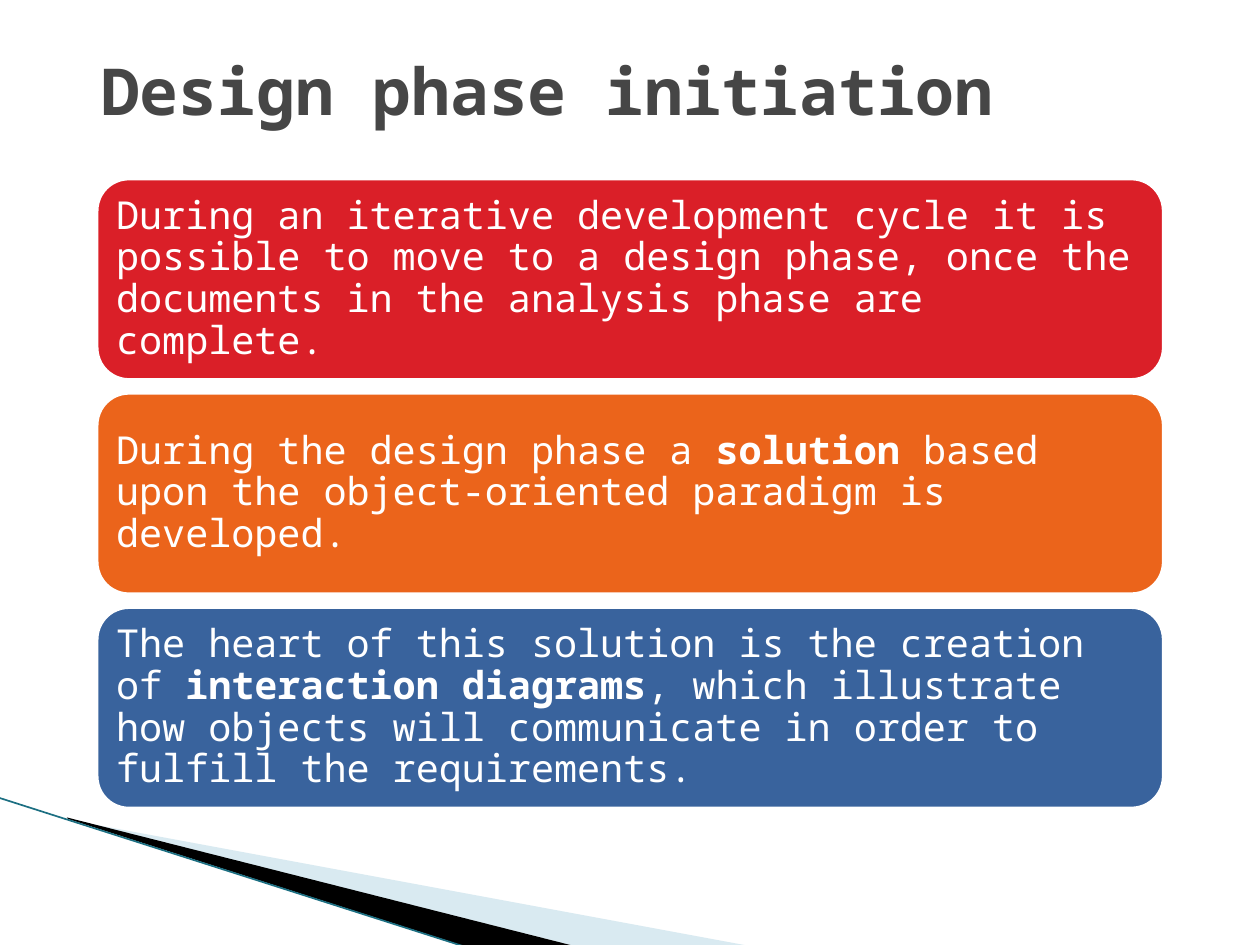
from dataclasses import dataclass

from lxml import etree
from pptx import Presentation
from pptx.dml.color import RGBColor
from pptx.enum.shapes import MSO_CONNECTOR, MSO_SHAPE
from pptx.enum.text import MSO_ANCHOR, MSO_AUTO_SIZE, PP_ALIGN
from pptx.oxml.ns import qn
from pptx.util import Cm, Pt

STRAIGHT = MSO_CONNECTOR.STRAIGHT
ROUNDED = MSO_SHAPE.ROUNDED_RECTANGLE
MIDDLE = MSO_ANCHOR.MIDDLE
NO_FIT = MSO_AUTO_SIZE.NONE
LEFT = PP_ALIGN.LEFT

FONT = "Noto Sans Mono"
COLORS = {
    "title": "464646", "white": "FFFFFF", "black": "000000",
    "red": "DA1F28", "orange": "EB641B", "blue": "39639D",
    "pale": "A0CBDC", "teal": "1C6F82",
}
MARGIN, CONTENT_WIDTH = 1.91, 21.59
PANEL_TOP, PANEL_HEIGHT, PANEL_PITCH = 3.56, 4.14, 4.32


@dataclass
class Panel:
    color: str
    before: str
    bold: str = ""
    after: str = ""


@dataclass
class Wedge:
    color: str
    points: list[tuple[float, float]]
    opacity: int = 100


PANELS = [
    Panel("red", "During an iterative development cycle it is possible to move to a "
                 "design phase, once the documents in the analysis phase are complete."),
    Panel("orange", "During the design phase a ", "solution",
          " based upon the object-oriented paradigm is developed."),
    Panel("blue", "The heart of this solution is the creation of ", "interaction diagrams",
          ", which illustrate how objects will communicate in order to fulfill the requirements."),
]
WEDGES = [
    Wedge("pale", [(1.4, 16.53), (15.11, 19.07), (11.58, 19.07), (1.4, 16.51)], 40),
    Wedge("black", [(1.35, 16.48), (11.61, 19.08), (9.45, 19.1), (1.37, 16.51)]),
]


def color_of(name: str) -> RGBColor:
    return RGBColor.from_string(COLORS[name])


def apply_format(target, values: dict) -> None:
    for name, value in values.items():
        setattr(target, name, value)


def format_font(font, size: float, color: str, bold: bool) -> None:
    apply_format(font, {"name": FONT, "size": Pt(size), "bold": bold})
    font.color.rgb = color_of(color)


def draw_wedge(slide, wedge: Wedge) -> None:
    points = [(Cm(x), Cm(y)) for x, y in wedge.points]
    builder = slide.shapes.build_freeform(*points[0])
    builder.add_line_segments(points[1:])
    shape = builder.convert_to_shape()
    shape.shadow.inherit = False
    shape.line.fill.background()
    shape.fill.solid()
    shape.fill.fore_color.rgb = color_of(wedge.color)
    if wedge.opacity < 100:
        color = shape.fill._xPr.find(qn("a:solidFill"))[0]
        etree.SubElement(color, qn("a:alpha")).set("val", str(wedge.opacity * 1000))


def draw_edge(slide) -> None:
    edge = slide.shapes.add_connector(STRAIGHT, Cm(-0.03), Cm(16.08), Cm(9.42), Cm(19.1))
    edge.line.color.rgb = color_of("teal")
    edge.line.width = Pt(0.95)
    etree.SubElement(edge._element.spPr, qn("a:effectLst"))


def draw_panel(slide, panel: Panel, top: float) -> None:
    shape = slide.shapes.add_shape(
        ROUNDED, Cm(MARGIN), Cm(top), Cm(CONTENT_WIDTH), Cm(PANEL_HEIGHT))
    shape.shadow.inherit = False
    shape.fill.solid()
    shape.fill.fore_color.rgb = color_of(panel.color)
    shape.line.color.rgb = color_of("white")
    shape.line.width = Pt(4.33)
    inset = Cm(0.23)
    apply_format(shape.text_frame, {
        "word_wrap": True, "vertical_anchor": MIDDLE,
        "margin_left": inset, "margin_right": inset,
        "margin_top": inset, "margin_bottom": inset,
    })
    paragraph = shape.text_frame.paragraphs[0]
    apply_format(paragraph, {"alignment": LEFT, "line_spacing": 0.9, "space_after": Pt(7.7)})
    for text, bold in ((panel.before, False), (panel.bold, True), (panel.after, False)):
        if text:
            run = paragraph.add_run()
            run.text = text
            format_font(run.font, 22, "white", bold)


def draw_title(slide, text: str) -> None:
    title = slide.shapes.title
    apply_format(title, {"left": Cm(MARGIN), "top": Cm(1.07),
                         "width": Cm(CONTENT_WIDTH), "height": Cm(1.47)})
    title.text_frame.text = text
    apply_format(title.text_frame, {
        "word_wrap": True, "auto_size": NO_FIT, "vertical_anchor": MIDDLE,
        "margin_left": Cm(0.13), "margin_right": Cm(0.13),
        "margin_top": 0, "margin_bottom": 0,
    })
    paragraph = title.text_frame.paragraphs[0]
    paragraph.alignment = LEFT
    format_font(paragraph.runs[0].font, 37, "title", True)


def main() -> None:
    presentation = Presentation()
    presentation.slide_width, presentation.slide_height = Cm(25.4), Cm(19.05)
    slide = presentation.slides.add_slide(presentation.slide_layouts[5])
    for wedge in WEDGES:
        draw_wedge(slide, wedge)
    draw_edge(slide)
    for index, panel in enumerate(PANELS):
        draw_panel(slide, panel, PANEL_TOP + index * PANEL_PITCH)
    draw_title(slide, "Design phase initiation")
    presentation.save("out.pptx")


if __name__ == "__main__":
    main()
